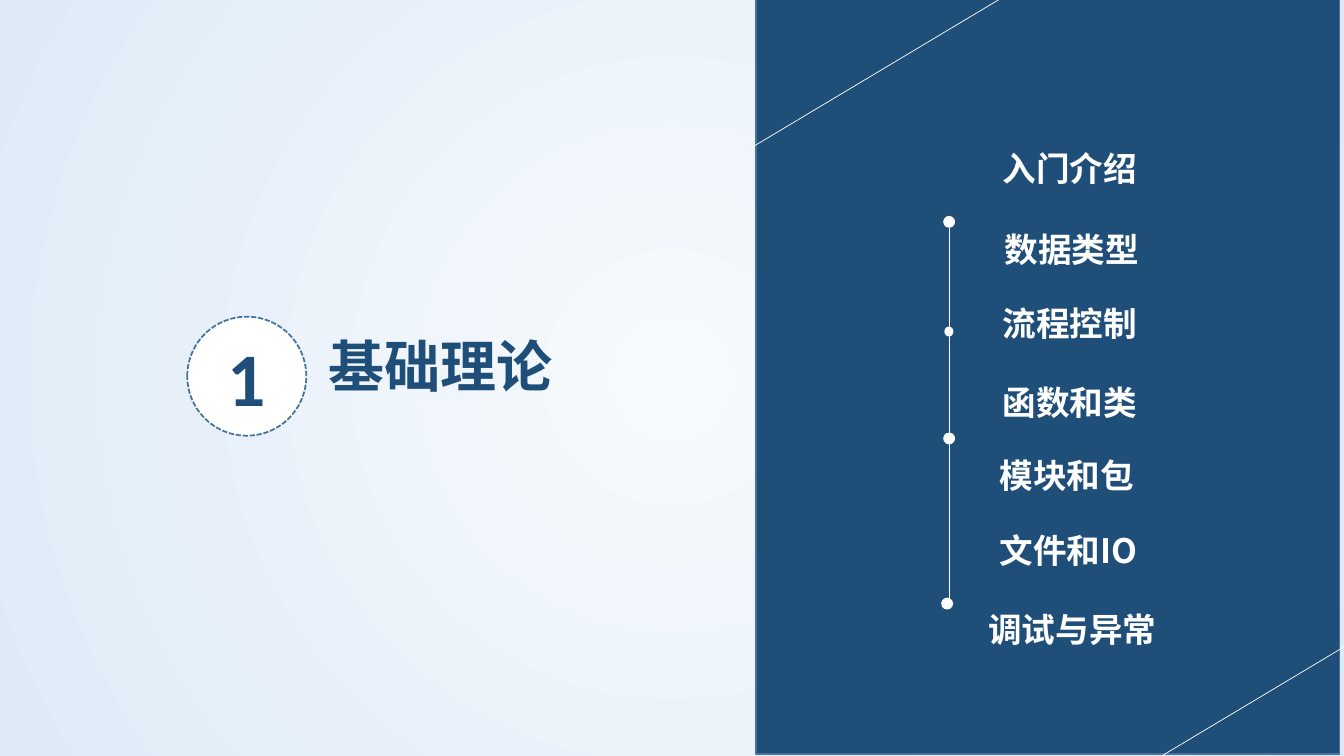
from lxml.etree import SubElement
from pptx import Presentation
from pptx.dml.color import RGBColor
from pptx.enum.dml import MSO_LINE as Dash
from pptx.enum.shapes import MSO_CONNECTOR as Conn, MSO_SHAPE as Form
from pptx.enum.text import MSO_ANCHOR as Anchor, MSO_AUTO_SIZE as Fit, PP_ALIGN as Align
from pptx.oxml import parse_xml
from pptx.oxml.ns import nsdecls, qn
from pptx.util import Cm, Pt

WHITE, NAVY, BLUE = "FFFFFF", "1F4E79", "43739E"
CJK = "Noto Sans CJK SC"

TITLE = ("基础理论", (8.03, 8.23, 6.78, 1.96))
NUMBER = ("1", (4.72, 7.98, 3, 3))
PANEL = (19.05, -0.05, 14.71, 19.05)
TOPICS = [  # text, left, top
    ("入门介绍", 25.02, 3.61),
    ("数据类型", 25.07, 5.64),
    ("流程控制", 25.02, 7.52),
    ("函数和类", 25.02, 9.5),
    ("模块和包", 24.94, 11.35),
    ("文件和IO", 24.94, 13.23),
    ("调试与异常", 24.66, 15.21),
]
TOPIC_SIZE = (4.98, 1.27)
DOTS = [
    (23.77, 5.44, 0.3, 0.3),
    (23.8, 8.23, 0.23, 0.25),
    (23.77, 10.9, 0.3, 0.3),
    (23.72, 15.06, 0.3, 0.3),
]
AXIS = 23.93
STEMS = [(5.74, 8.26), (8.46, 10.97), (9.47, 15.06)]
SLANTS = [(26.31, -0.69, 18.92, 3.73), (35.51, 15.32, 28.12, 19.74)]
GLOW = [(0, "F7FAFD"), (100, "DEEBF7")]


def rgb(code):
    return RGBColor.from_string(code)


def lens(box):
    return [Cm(v) for v in box]


def glow(slide):
    """Fill the background with a gradient that spreads from the centre."""
    stops = "".join(
        f'<a:gs pos="{pos * 1000}"><a:srgbClr val="{code}"/></a:gs>' for pos, code in GLOW
    )
    mid = 'l="50000" t="50000" r="50000" b="50000"'
    slide.background.fill.solid()
    props = slide.background._cSld.bg.bgPr
    props.replace(props[0], parse_xml(
        f'<a:gradFill {nsdecls("a")} rotWithShape="1"><a:gsLst>{stops}</a:gsLst>'
        f'<a:path path="circle"><a:fillToRect {mid}/></a:path></a:gradFill>'
    ))


def shape(slide, form, box, fill, edge=None, width=1):
    item = slide.shapes.add_shape(form, *lens(box))
    item.shadow.inherit = False
    item.fill.solid()
    item.fill.fore_color.rgb = rgb(fill)
    if edge:
        item.line.color.rgb = rgb(edge)
        item.line.width = Pt(width)
    else:
        item.line.fill.background()
    return item


def line(slide, ends, width):
    item = slide.shapes.add_connector(Conn.STRAIGHT, *lens(ends))
    item.line.color.rgb = rgb(WHITE)
    item.line.width = Pt(width)
    SubElement(item._element.spPr, qn("a:effectLst"))


def write(item, text, size, color, face=CJK, align=Align.LEFT, anchor=Anchor.TOP, fit=Fit.NONE):
    frame = item.text_frame
    look = {"word_wrap": True, "auto_size": fit, "vertical_anchor": anchor}
    for key, val in look.items():
        setattr(frame, key, val)
    para = frame.paragraphs[0]
    para.alignment = align
    run = para.add_run()
    run.text = text
    for key, val in {"size": Pt(size), "bold": True, "name": face}.items():
        setattr(run.font, key, val)
    run.font.color.rgb = rgb(color)
    SubElement(run.font._element, qn("a:ea")).set("typeface", face)


def main():
    deck = Presentation()
    deck.slide_width, deck.slide_height = Cm(33.87), Cm(19.05)
    slide = deck.slides.add_slide(deck.slide_layouts[5])
    glow(slide)

    text, box = TITLE
    title = slide.shapes.title
    for key, val in zip(("left", "top", "width", "height"), lens(box)):
        setattr(title, key, val)
    write(title, text, 40, NAVY, fit=Fit.SHAPE_TO_FIT_TEXT)

    text, box = NUMBER
    badge = shape(slide, Form.OVAL, box, WHITE, BLUE, 1.25)
    badge.line.dash_style = Dash.SQUARE_DOT
    write(badge, text, 54, NAVY, "Calibri", Align.CENTER, Anchor.MIDDLE)

    shape(slide, Form.RECTANGLE, PANEL, NAVY, BLUE)
    for ends in SLANTS:
        line(slide, ends, 0.5)
    for top, end in STEMS:
        line(slide, (AXIS, top, AXIS, end), 1)
    for box in DOTS:
        shape(slide, Form.OVAL, box, WHITE)
    for text, left, top in TOPICS:
        label = slide.shapes.add_textbox(*lens((left, top, *TOPIC_SIZE)))
        write(label, text, 24, WHITE, fit=Fit.SHAPE_TO_FIT_TEXT)

    deck.save("out.pptx")


if __name__ == "__main__":
    main()
